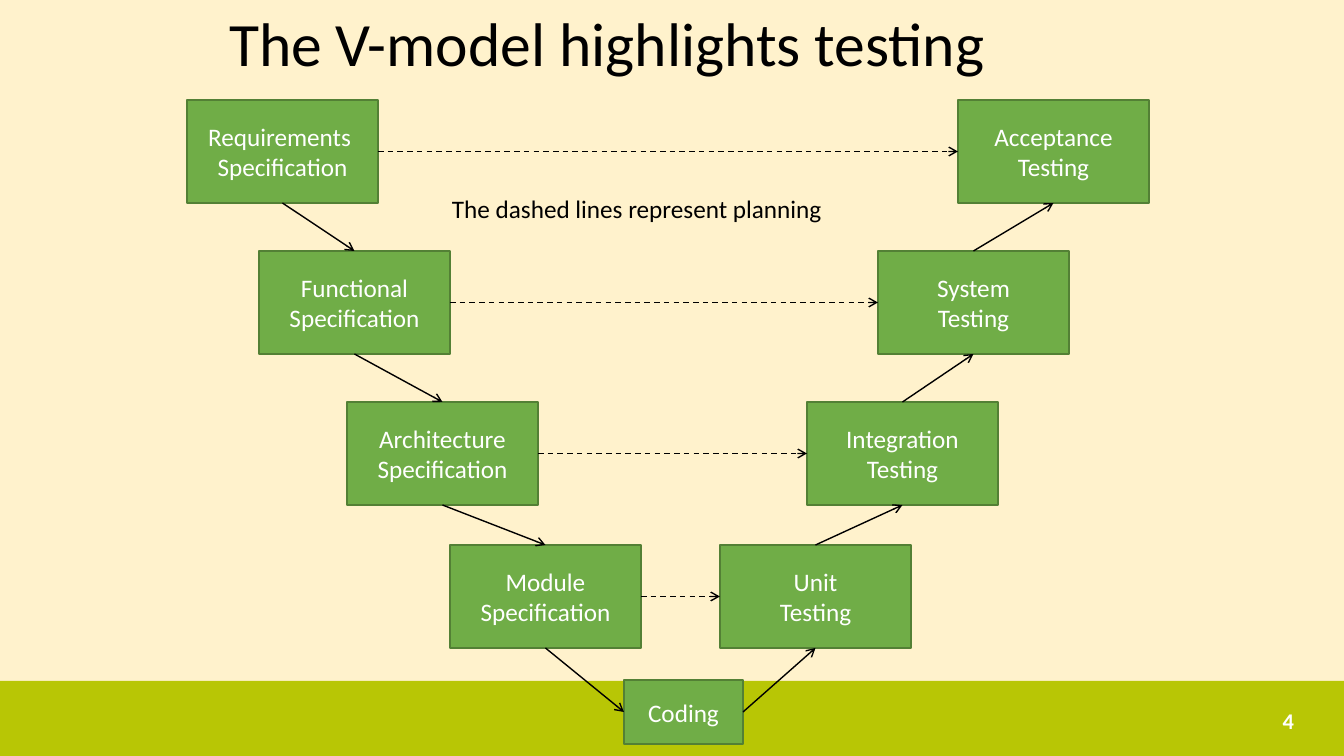
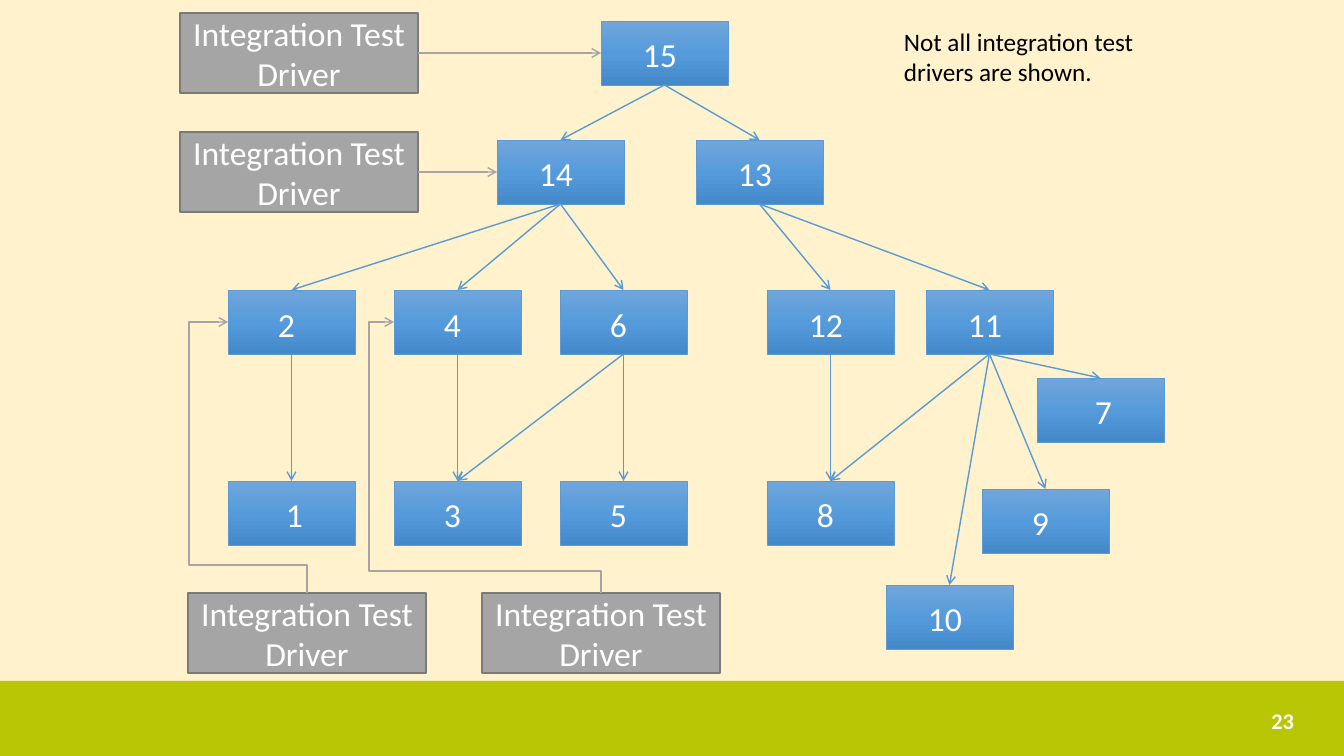
import pptx
import pptx.dml.color
import pptx.enum.dml
import pptx.enum.shapes
import pptx.enum.text
import pptx.oxml.ns
import pptx.util
from lxml import etree

PX = 914400 / 100.8
WIDTH, HEIGHT = 1344, 756
FONT = "Calibri"
COLORS = {
    "background": "FFF2CC", "band": "B8C605", "ink": "000000", "white": "FFFFFF",
    "step": "70AD47", "step_line": "538035",
    "node_line": "5B9BD5", "driver": "A5A5A5", "driver_line": "7A7A7A",
}
NODE_GRADIENT = [(0, "71A6DB"), (50, "559BDB"), (100, "448ACA")]

TOP, LEFT, BOTTOM, RIGHT = range(4)  # connection sites of a rectangle
ALIGN = pptx.enum.text.PP_ALIGN
MIDDLE = pptx.enum.text.MSO_ANCHOR.MIDDLE
CONNECTOR = pptx.enum.shapes.MSO_CONNECTOR
qn = pptx.oxml.ns.qn

STEP_W, STEP_H = 191, 103
STEP_TOPS = [0, 151, 302, 445]
SPECIFICATIONS = [
    (0, ["Requirements ", "Specification"]), (72, ["Functional", "Specification"]),
    (160, ["Architecture", "Specification"]), (263, ["Module", "Specification"]),
]
TESTS = [
    (771, ["Acceptance Testing"]), (691, ["System", "Testing"]),
    (620, ["Integration", "Testing"]), (533, ["Unit", "Testing"]),
]

NODE_W, NODE_H = 127, 64
NODES = {
    15: (421, 8), 14: (317, 127), 13: (516, 127),
    2: (48, 277), 4: (214, 277), 6: (380, 277), 12: (587, 277), 11: (746, 277),
    1: (48, 468), 3: (214, 468), 5: (380, 468), 8: (587, 468),
    7: (857, 365), 9: (802, 476), 10: (706, 572),
}
CALLS = {15: [13, 14], 14: [4, 2, 6], 13: [12, 11], 11: [7, 9, 10, 8],
         12: [8], 6: [5, 3], 4: [3], 2: [1]}
DRIVER_W, DRIVER_H = 238, 80


def px(n):
    return pptx.util.Emu(round(n * PX))


def rgb(name):
    return pptx.dml.color.RGBColor.from_string(COLORS[name])


def write(tf, lines, size, color="white", align=ALIGN.CENTER, bold=False):
    for i, line in enumerate(lines):
        p = tf.paragraphs[0] if i == 0 else tf.add_paragraph()
        p.alignment = align
        r = p.add_run()
        r.text = line
        r.font.name = FONT
        r.font.size = pptx.util.Pt(size)
        r.font.bold = bold
        r.font.color.rgb = rgb(color)


def add_box(s, x, y, w, h, fill=None, line=None, weight=1):
    sp = s.shapes.add_shape(pptx.enum.shapes.MSO_SHAPE.RECTANGLE, px(x), px(y), px(w), px(h))
    sp.shadow.inherit = False
    if fill:
        sp.fill.solid()
        sp.fill.fore_color.rgb = rgb(fill)
    if line:
        sp.line.color.rgb = rgb(line)
        sp.line.width = pptx.util.Pt(weight)
    else:
        sp.line.fill.background()
    sp.text_frame.word_wrap = True
    sp.text_frame.vertical_anchor = MIDDLE
    return sp


def add_note(s, x, y, w, h, text, wrap):
    tf = s.shapes.add_textbox(px(x), px(y), px(w), px(h)).text_frame
    tf.word_wrap = wrap
    tf.auto_size = pptx.enum.text.MSO_AUTO_SIZE.SHAPE_TO_FIT_TEXT
    write(tf, [text], 18, "ink", ALIGN.LEFT)


def add_arrow(s, start, start_site, end, end_site, color, dashed=False, kind=CONNECTOR.STRAIGHT):
    c = s.shapes.add_connector(kind, 0, 0, 0, 0)
    c.begin_connect(start, start_site)
    c.end_connect(end, end_site)
    c.line.color.rgb = rgb(color)
    c.line.width = pptx.util.Pt(1)
    if dashed:
        c.line.dash_style = pptx.enum.dml.MSO_LINE.DASH
    etree.SubElement(c.line._get_or_add_ln(), qn("a:tailEnd"), type="arrow")
    etree.SubElement(c._element.spPr, qn("a:effectLst"))
    return c


def add_detour(s, driver, node, rise, out):
    """Arrow that leaves the driver's top, passes left of the node and enters its left side."""
    c = add_arrow(s, driver, TOP, node, LEFT, "driver", kind=CONNECTOR.ELBOW)
    x, y, w, h = c.left, c.top, c.width, c.height
    c.left, c.top = x + (w - h) // 2, y + (h - w) // 2
    c.width, c.height = h, w
    xfrm = c._element.spPr.find(qn("a:xfrm"))
    xfrm.attrib.pop("flipH", None)
    xfrm.set("flipV", "1")
    xfrm.set("rot", str(270 * 60000))
    geom = c._element.spPr.find(qn("a:prstGeom"))
    geom.set("prst", "bentConnector4")
    guides = geom.find(qn("a:avLst"))
    if guides is None:
        guides = etree.SubElement(geom, qn("a:avLst"))
    for name, ratio in [("adj1", px(rise) / h), ("adj2", 1 + px(out) / w)]:
        etree.SubElement(guides, qn("a:gd"), name=name, fmla=f"val {round(ratio * 100000)}")


def style_master(prs, s):
    master = prs.slide_master
    master.background.fill.solid()
    master.background.fill.fore_color.rgb = rgb("background")
    band = add_box(s, 0, 681, WIDTH, HEIGHT - 681, "band")
    master.shapes._spTree.insert(2, band._element)


def add_title(s, text):
    title = s.shapes.title
    title.left, title.top, title.width, title.height = px(219), px(0), px(907), px(93)
    title.text_frame.vertical_anchor = MIDDLE
    write(title.text_frame, [text], 44, "ink", ALIGN.LEFT)
    title.text_frame.paragraphs[0].line_spacing = 0.9


def add_number(s, number):
    tf = s.shapes.add_textbox(px(950), px(701), px(354), px(40)).text_frame
    tf.word_wrap = True
    tf.vertical_anchor = MIDDLE
    write(tf, [str(number)], 16, align=ALIGN.RIGHT, bold=True)


def add_step(s, x, y, w, h, lines):
    sp = add_box(s, x, y, w, h, "step", "step_line")
    write(sp.text_frame, lines, 18)
    return sp


def draw_v_model(s, left, top):
    specs, tests = (
        [add_step(s, left + x, top + y, STEP_W, STEP_H, lines)
         for (x, lines), y in zip(side, STEP_TOPS)]
        for side in (SPECIFICATIONS, TESTS))
    coding = add_step(s, left + 437, top + 580, 119, 64, ["Coding"])
    for upper, lower in zip(specs, specs[1:]):
        add_arrow(s, upper, BOTTOM, lower, TOP, "ink")
    add_arrow(s, specs[-1], BOTTOM, coding, LEFT, "ink")
    add_arrow(s, coding, RIGHT, tests[-1], BOTTOM, "ink")
    for upper, lower in zip(tests, tests[1:]):
        add_arrow(s, lower, TOP, upper, BOTTOM, "ink")
    for spec_step, test in zip(specs, tests):
        add_arrow(s, spec_step, RIGHT, test, LEFT, "ink", dashed=True)
    add_note(s, left + 255, top + 88, 395, 40, "The dashed lines represent planning", False)


def add_node(s, x, y, number):
    sp = add_box(s, x, y, NODE_W, NODE_H, line="node_line", weight=0.5)
    sp.fill.gradient()
    sp.fill.gradient_angle = 270
    stops = sp._element.spPr.find(qn("a:gradFill")).find(qn("a:gsLst"))
    for stop in list(stops):
        stops.remove(stop)
    for pos, color in NODE_GRADIENT:
        gs = etree.SubElement(stops, qn("a:gs"), pos=str(pos * 1000))
        etree.SubElement(gs, qn("a:srgbClr"), val=color)
    tf = sp.text_frame
    indent = 42 if number > 9 else 58 if number in (1, 7) else 50
    tf.margin_left, tf.margin_top = px(indent), px(3)
    tf.margin_right = tf.margin_bottom = 0
    write(tf, [str(number)], 24, align=ALIGN.LEFT)
    return sp


def add_driver(s, x, y):
    sp = add_box(s, x, y, DRIVER_W, DRIVER_H, "driver", "driver_line")
    write(sp.text_frame, ["Integration Test Driver"], 24)
    return sp


def draw_call_tree(s, left, top):
    nodes = {n: add_node(s, left + x, top + y, n) for n, (x, y) in NODES.items()}
    for caller, callees in CALLS.items():
        for callee in callees:
            add_arrow(s, nodes[caller], BOTTOM, nodes[callee], TOP, "node_line")
    for y, n in [(0, 15), (119, 14)]:
        add_arrow(s, add_driver(s, left, top + y), RIGHT, nodes[n], LEFT, "driver")
    for x, n, rise, out in [(8, 2, 28, 39), (302, 4, 22, 25)]:
        add_detour(s, add_driver(s, left + x, top + 580), nodes[n], rise, out)
    add_note(s, left + 714, top + 8, 262, 102,
             "Not all integration test drivers are shown.", True)


def main():
    prs = pptx.Presentation()
    prs.slide_width, prs.slide_height = px(WIDTH), px(HEIGHT)
    title_only, blank = prs.slide_layouts[5], prs.slide_layouts[6]

    s = prs.slides.add_slide(title_only)
    style_master(prs, s)
    add_title(s, "The V-model highlights testing")
    add_number(s, 4)
    draw_v_model(s, 187, 100)

    s = prs.slides.add_slide(blank)
    add_number(s, 23)
    draw_call_tree(s, 180, 13)

    prs.save("out.pptx")


if __name__ == "__main__":
    main()
